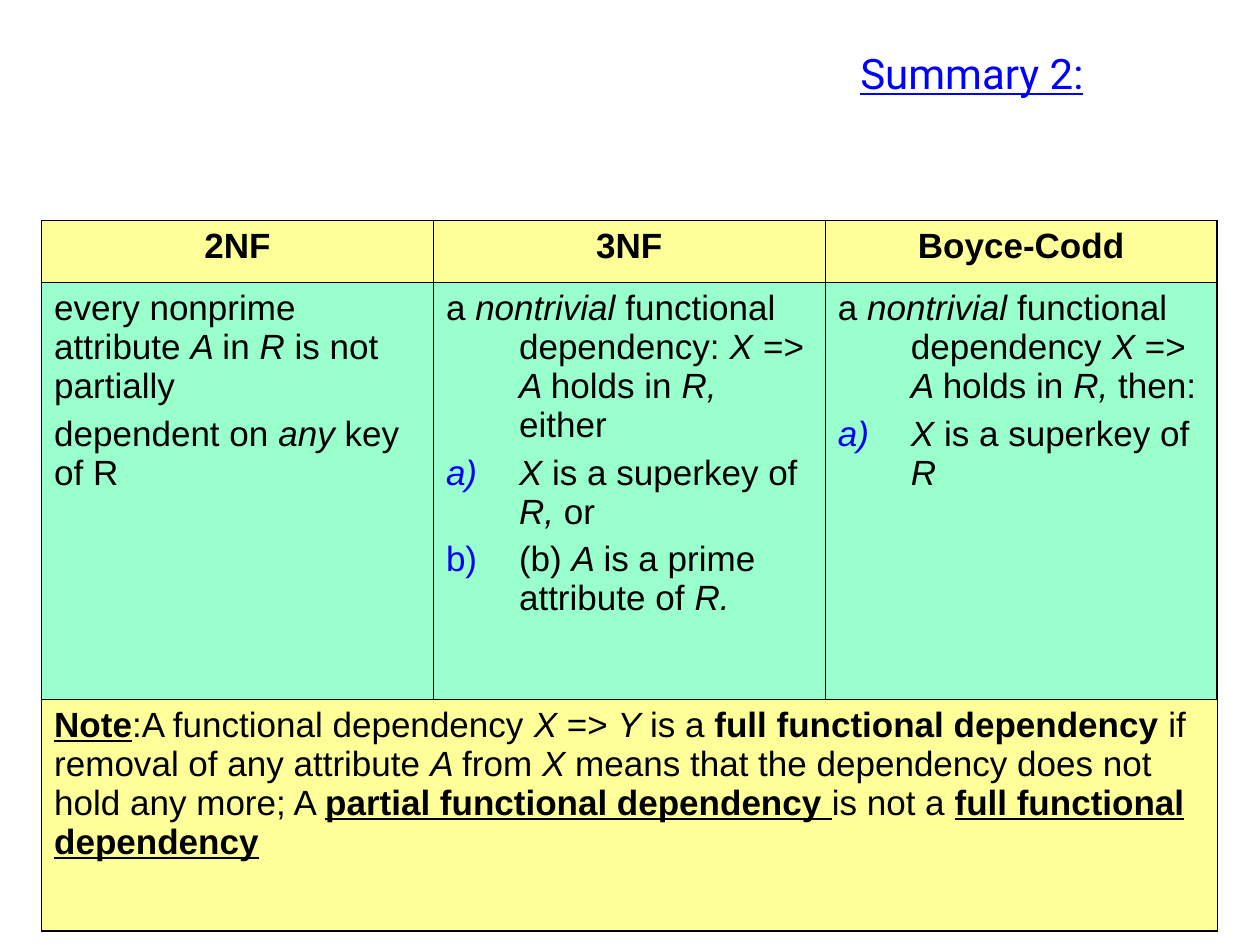
from lxml.etree import SubElement
from pptx import Presentation
from pptx.dml.color import RGBColor
from pptx.enum.text import MSO_ANCHOR, MSO_AUTO_SIZE, PP_ALIGN
from pptx.oxml.ns import qn
from pptx.util import Inches, Pt

BLUE, BLACK, YELLOW, MINT = "0000FF", "000000", "FFFF99", "99FFCC"
THICK, THIN = 1.08, 0.45
STYLES = {"b": "bold", "i": "italic", "u": "underline"}

# A paragraph is (kind, runs); a run is plain text or (text, style letters).
HEADS = ["2NF", "3NF", "Boyce-Codd"]
RULES = [
    [
        ("plain", ["every nonprime attribute ", ("A ", "i"), "in ", ("R ", "i"),
                   "is not partially"]),
        ("plain", ["dependent on ", ("any ", "i"), "key of R"]),
    ],
    [
        ("hang", ["a ", ("nontrivial ", "i"), "functional dependency: ",
                  ("X => A ", "i"), "holds in ", ("R, ", "i"), "either"]),
        ("list", [("X ", "i"), "is a superkey of ", ("R, ", "i"), "or"]),
        ("list", ["(b) ", ("A ", "i"), "is a prime attribute of ", ("R.", "i")]),
    ],
    [
        ("hang", ["a ", ("nontrivial ", "i"), "functional dependency ", ("X ", "i"),
                  "=> ", ("A ", "i"), "holds in ", ("R, ", "i"), "then:"]),
        ("list", [("X ", "i"), "is a superkey of ", ("R", "i")]),
    ],
]
NOTE = [("plain", [
    ("Note", "bu"), ":A functional dependency ", ("X ", "i"), "=> ", ("Y ", "i"),
    "is a ", ("full functional dependency ", "b"), "if removal of any attribute ",
    ("A ", "i"), "from ", ("X ", "i"),
    "means that the dependency does not hold any more; A ",
    ("partial functional dependency ", "bu"), "is not a ",
    ("full functional dependency", "bu"),
])]


def color(code):
    return RGBColor.from_string(code)


class Deck:
    def __init__(self):
        self.prs = Presentation()
        self.prs.slide_width, self.prs.slide_height = Inches(10), Inches(7.5)
        self.slide = self.prs.slides.add_slide(self.prs.slide_layouts[5])
        self.body = {"name": "Arial", "size": Pt(20), "bold": False,
                     "italic": False, "underline": False}
        self.head = {"name": "Roboto", "size": Pt(24), "underline": True}

    def run(self, para, text, form, ink):
        run = para.add_run()
        run.text = text
        for key, value in form.items():
            setattr(run.font, key, value)
        run.font.color.rgb = color(ink)

    def title(self, text, left, top, width, height):
        box = self.slide.shapes.title
        place = {"left": left, "top": top, "width": width, "height": height}
        for key, value in place.items():
            setattr(box, key, Inches(value))
        frame = box.text_frame
        frame.auto_size = MSO_AUTO_SIZE.NONE
        frame.vertical_anchor = MSO_ANCHOR.MIDDLE
        para = frame.paragraphs[0]
        para.alignment = PP_ALIGN.RIGHT
        self.run(para, text, self.head, BLUE)

    def indent(self, para, kind):
        """Hang the first line, and number it when the kind is a list."""
        props = para._p.get_or_add_pPr()
        hang = Inches(0.58)
        props.set("marL", str(hang))
        props.set("indent", str(-hang))
        if kind == "list":
            tint = SubElement(props, qn("a:buClr"))
            SubElement(tint, qn("a:srgbClr"), val=BLUE)
            SubElement(props, qn("a:buAutoNum"), type="alphaLcParenR")

    def fill(self, cell, paras, back, align=PP_ALIGN.LEFT):
        cell.fill.solid()
        cell.fill.fore_color.rgb = color(back)
        frame = cell.text_frame
        for n, (kind, runs) in enumerate(paras):
            para = frame.add_paragraph() if n else frame.paragraphs[0]
            if kind != "plain":
                self.indent(para, kind)
            para.alignment = align
            para.space_before = Pt(5 if n else 0)
            for item in runs:
                text, marks = (item, "") if isinstance(item, str) else item
                form = self.body | {STYLES[m]: True for m in marks}
                self.run(para, text, form, BLACK)

    def border(self, cell, edges):
        props = cell._tc.get_or_add_tcPr()
        for side, outer in edges.items():
            width = Pt(THICK if outer else THIN)
            line = SubElement(props, qn(f"a:ln{side}"), w=str(width))
            solid = SubElement(line, qn("a:solidFill"))
            SubElement(solid, qn("a:srgbClr"), val=BLACK)

    def table(self, left, top, width, rows, cols):
        """Add a grid with thick outer and thin inner lines."""
        frame = self.slide.shapes.add_table(
            len(rows), cols, Inches(left), Inches(top),
            Inches(width), Inches(sum(rows)))
        grid = frame.table
        grid.first_row = grid.horz_banding = False
        for col in grid.columns:
            col.width = Inches(width / cols)
        for r, height in enumerate(rows):
            grid.rows[r].height = Inches(height)
            for c in range(cols):
                self.border(grid.cell(r, c), {
                    "L": c == 0, "R": c == cols - 1,
                    "T": r == 0, "B": r == len(rows) - 1})
        return grid


def main():
    deck = Deck()
    deck.title("Summary 2:", 0.2, 0.33, 8.5, 0.5)
    grid = deck.table(0.33, 1.75, 9.33, [0.49, 3.31, 1.84], len(HEADS))
    for c, (head, rule) in enumerate(zip(HEADS, RULES)):
        deck.fill(grid.cell(0, c), [("plain", [(head, "b")])], YELLOW,
                  PP_ALIGN.CENTER)
        deck.fill(grid.cell(1, c), rule, MINT)
    note = grid.cell(2, 0)
    note.merge(grid.cell(2, len(HEADS) - 1))
    deck.fill(note, NOTE, YELLOW)
    deck.prs.save("out.pptx")


if __name__ == "__main__":
    main()
